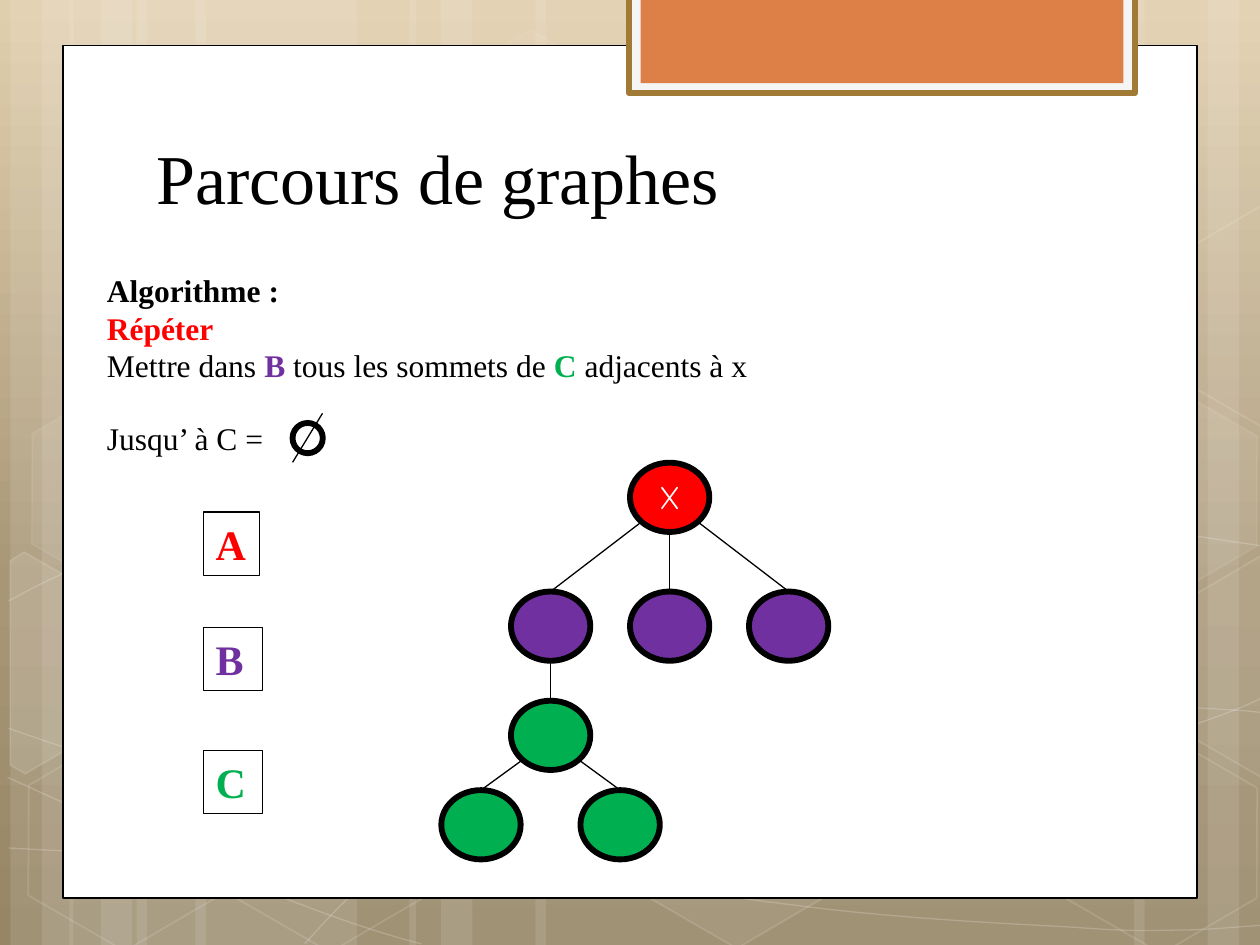
from copy import deepcopy
from math import cos, radians, sin, sqrt

from lxml import etree
from pptx import Presentation
from pptx.dml.color import RGBColor
from pptx.enum.shapes import MSO_CONNECTOR, MSO_SHAPE
from pptx.enum.text import MSO_ANCHOR, PP_ALIGN
from pptx.oxml.ns import qn
from pptx.util import Pt

RECT = MSO_SHAPE.RECTANGLE
OVAL = MSO_SHAPE.OVAL
HEXAGON = MSO_SHAPE.HEXAGON
STRAIGHT = MSO_CONNECTOR.STRAIGHT
TOP, MIDDLE, BOTTOM = MSO_ANCHOR.TOP, MSO_ANCHOR.MIDDLE, MSO_ANCHOR.BOTTOM
LEFT, CENTER, JUSTIFY = PP_ALIGN.LEFT, PP_ALIGN.CENTER, PP_ALIGN.JUSTIFY

COLORS = {
    "black": "000000", "white": "FFFFFF", "red": "FF0000",
    "purple": "7030A0", "green": "00B050", "orange": "DD8047",
    "frame": "F5F5F5", "gold": "A17B35",
    "sand": "E1CEAD", "khaki": "A89777", "earth": "968666",
}
SERIF = "Times New Roman"
NODE_W, NODE_H = 45.36, 39.6
THICK, THIN = 3.35, 0.75
TILT = 30

STRIPES = [
    (78, 126, 0), (6, 36, 0), (24, 60, 0), (111.6, 126, 0), (39.6, 36, 0), (57.6, 60, 0),
    (528, 126, 180), (690, 36, 180), (648, 60, 180), (306, 222, 0), (234, 36, 0), (252, 60, 0),
]
CURVES = [
    [(5, 484.6), (44, 486.7), (83, 489), (137, 488.2), (191, 487.4), (258, 486), (330, 478.8),
     (402, 471.6), (504, 458), (570, 444.2), (636, 430.6), (704, 409), (725, 396.7)],
    [(5, 343.4), (26, 332), (47, 321), (87, 310.3), (128, 299.5), (186, 283.7), (250, 278.6),
     (314, 273.6), (392, 272.9), (471, 278.6), (550, 284.4), (682, 306.7), (725, 312.5)],
    [(4.3, 444.2), (91.4, 483.8), (177.8, 523.4), (240.5, 539.3)],
    [(5, 416.2), (27.4, 424), (50.4, 432), (92.2, 443.5), (134, 454.3), (196.6, 472.3),
     (257, 484.6), (316.8, 496.8), (392.4, 509.8), (452.2, 517), (512, 524.9), (576, 527.8),
     (614.2, 529.9), (651.6, 532.8), (661.7, 531.4), (680.4, 531.4), (699.1, 530.6),
     (712, 529.2), (725, 528.5)],
    [(174.2, 539.3), (187.2, 524.9), (200.2, 510.5), (217.4, 497.5), (234.7, 484.6),
     (259.2, 470.2), (279.4, 460.1), (299.5, 450), (311.8, 445.7), (338.4, 438.5),
     (364.3, 431.3), (412.6, 421.2), (437.8, 416.2), (463.7, 411.1), (467.3, 411.1),
     (489.6, 409.7), (512, 407.5), (547.2, 405.4), (571.7, 404.6), (596.9, 403.9),
     (638, 404.6), (638, 404.6), (654, 404.6), (670, 404.6), (686.2, 404.6),
     (699, 405.4), (711.4, 406), (717.8, 406.8), (724.3, 407.5), (722.2, 406.8),
     (724.3, 407.5)],
]
HEXAGONS = [
    (240.5, 25.9, 4, 8), (357.8, 424, 6, 12), (8, 425.5, None, 12),
    (10, 224.6, 7, 8), (125.3, 426.2, None, 12), (542.2, 326.2, 10, 12),
    (600.5, 427, None, 12), (600.5, 226, 7, 8),
]
CUT_HEXAGONS = [
    ([(5.8, 320.4), (13.7, 315.4), (69.1, 347), (68.4, 410.4), (14.4, 442.1), (5.8, 437)],
     (25.9, 385.2), 10),
    ([(666.7, 349.2), (720.7, 317.5), (726.5, 321.1), (726.5, 441.4), (721.4, 444.2),
      (666.7, 412.6)], (709.2, 374.4), 4),
    ([(666.7, 149), (720.7, 117.4), (727.2, 121), (726.5, 241.2), (721.4, 244.1),
      (666.7, 212.4)], (709.2, 173.5), None),
]
LABELS = [("A", "red", 292.5, 32.2), ("B", "purple", 358.4, 33.8), ("C", "green", 428.7, 33.8)]
NODES = {
    "x": (360, 264.4, "red"),
    "b1": (292, 338, "purple"), "b2": (360, 338, "purple"), "b3": (428, 338, "purple"),
    "c3": (331.7, 451.5, "green"), "c2": (252.2, 451.5, "green"), "c1": (292, 400.4, "green"),
}
EDGES = [("x", "b1"), ("x", "b2"), ("x", "b3"), ("b1", "c1"), ("c1", "c2"), ("c1", "c3")]


def rgb(name):
    return RGBColor.from_string(COLORS[name])


def set_alpha(parent, percent):
    color = parent.find(qn("a:solidFill")).find(qn("a:srgbClr"))
    etree.SubElement(color, qn("a:alpha")).set("val", str(percent * 1000))


def style(sp, fill=None, line=None, width=THIN, fill_alpha=None, line_alpha=None):
    sp.shadow.inherit = False
    if fill:
        sp.fill.solid()
        sp.fill.fore_color.rgb = rgb(fill)
        if fill_alpha:
            set_alpha(sp.element.spPr, fill_alpha)
    else:
        sp.fill.background()
    if line:
        sp.line.color.rgb = rgb(line)
        sp.line.width = Pt(width)
        if line_alpha:
            set_alpha(sp.element.spPr.find(qn("a:ln")), line_alpha)
    else:
        sp.line.fill.background()


def add_box(s, kind, x, y, w, h, **look):
    sp = s.shapes.add_shape(kind, Pt(x), Pt(y), Pt(w), Pt(h))
    style(sp, **look)
    return sp


def add_outline(s, points, close, **look):
    corners = [(Pt(x), Pt(y)) for x, y in points]
    builder = s.shapes.build_freeform(*corners[0])
    builder.add_line_segments(corners[1:], close=close)
    sp = builder.convert_to_shape()
    style(sp, **look)
    return sp


def add_curve(s, points, **look):
    sp = add_outline(s, points, False, **look)
    outline = sp.element.spPr.find(".//" + qn("a:path"))
    segments = outline.findall(qn("a:lnTo"))
    for i in range(0, len(segments), 3):
        curve = etree.SubElement(outline, qn("a:cubicBezTo"))
        for segment in segments[i:i + 3]:
            curve.append(segment[0])
            outline.remove(segment)


def turn_back(points, center):
    cx, cy = center
    c, d = cos(radians(TILT)), sin(radians(TILT))
    return [(cx + (x - cx) * c + (y - cy) * d, cy - (x - cx) * d + (y - cy) * c)
            for x, y in points]


def add_line(s, x1, y1, x2, y2):
    line = s.shapes.add_connector(STRAIGHT, Pt(x1), Pt(y1), Pt(x2), Pt(y2))
    line.line.color.rgb = rgb("black")
    line.line.width = Pt(THIN)
    etree.SubElement(line.element.spPr, qn("a:effectLst"))


def write(sp, paragraphs, size, font=SERIF, align=LEFT, anchor=TOP):
    tf = sp.text_frame
    tf.word_wrap = True
    tf.vertical_anchor = anchor
    for i, runs in enumerate(paragraphs):
        p = tf.add_paragraph() if i else tf.paragraphs[0]
        p.alignment = align
        for text, color, bold in runs:
            r = p.add_run()
            r.text = text
            r.font.name = font
            r.font.size = Pt(size)
            r.font.bold = bold
            r.font.color.rgb = rgb(color)


def add_text(s, x, y, w, h, paragraphs, **look):
    write(s.shapes.add_textbox(Pt(x), Pt(y), Pt(w), Pt(h)), paragraphs, 18, **look)


def add_background(s):
    fill = s.background.fill
    fill.gradient()
    fill.gradient_angle = 270
    stops = s.element.find(".//" + qn("a:gsLst"))
    stops.append(deepcopy(stops[0]))
    for stop, (place, color) in zip(fill.gradient_stops,
                                    [(0, "sand"), (0.62, "khaki"), (1, "earth")]):
        stop.color.rgb = rgb(color)
        stop.position = place


def add_decor(s):
    for x, w, turn in STRIPES:
        add_box(s, RECT, x, 0, w, 540, fill="white", fill_alpha=10).rotation = turn
    for points in CURVES:
        add_curve(s, points, line="white", line_alpha=20)
    for x, y, alpha, line_alpha in HEXAGONS:
        sp = add_box(s, HEXAGON, x, y, 126, 109.4, fill=alpha and "white", fill_alpha=alpha,
                     line="white", width=1, line_alpha=line_alpha)
        sp.adjustments[0] = 0.285
        sp.rotation = TILT
    for points, center, alpha in CUT_HEXAGONS:
        sp = add_outline(s, turn_back(points, center), True, fill=alpha and "white",
                         fill_alpha=alpha, line="white", width=1, line_alpha=12)
        sp.rotation = TILT
    add_box(s, RECT, 36, 26.2, 648, 487, fill="white", line="black")
    add_box(s, RECT, 359.3, -1.5, 289.4, 54.7, fill="frame", line="gold", width=THICK)
    add_box(s, RECT, 366, -1.5, 276, 49, fill="orange")


def add_title(s):
    title = s.shapes.title
    title.left, title.top, title.width, title.height = Pt(82), Pt(61), Pt(553), Pt(67.5)
    write(title, [[("Parcours de graphes", "black", False)]], 40, anchor=BOTTOM)
    title.element.getparent().append(title.element)


def add_tree(s):
    for name, (x, y, color) in NODES.items():
        sp = add_box(s, OVAL, x, y, NODE_W, NODE_H, fill=color, line="black", width=THICK)
        if name == "x":
            write(sp, [[("X", "white", False)]], 18, "Quicksand", CENTER, MIDDLE)
    for parent, child in EDGES:
        (px, py, _), (cx, cy, _) = NODES[parent], NODES[child]
        side = (cx > px) - (cx < px)
        reach = 1 / sqrt(2) if side else 1
        add_line(s, px + NODE_W / 2 * (1 + side * reach), py + NODE_H / 2 * (1 + reach),
                 cx + NODE_W / 2, cy)


def main():
    prs = Presentation()
    prs.slide_width, prs.slide_height = Pt(720), Pt(540)
    s = prs.slides.add_slide(prs.slide_layouts[5])
    add_background(s)
    add_decor(s)
    add_title(s)
    for text, color, y, w in LABELS:
        write(add_box(s, RECT, 116.2, y, w, 36.3, line="black"), [[(text, color, True)]], 24)
    add_tree(s)
    add_text(s, 54, 151.2, 607, 72.7, [
        [("Algorithme : ", "black", True)],
        [("Répéter", "red", True)],
        [("Mettre dans ", "black", False), ("B", "purple", True),
         (" tous les sommets de ", "black", False), ("C", "green", True),
         (" adjacents à x", "black", False)],
    ], align=JUSTIFY)
    add_text(s, 54, 236.1, 198.7, 29, [[("Jusqu’ à C = ", "black", False)]])
    add_box(s, OVAL, 167.2, 241.7, 17.3, 17.3, line="black", width=THICK)
    add_line(s, 184.3, 236.2, 167.2, 264.2)
    prs.save("out.pptx")


main()
